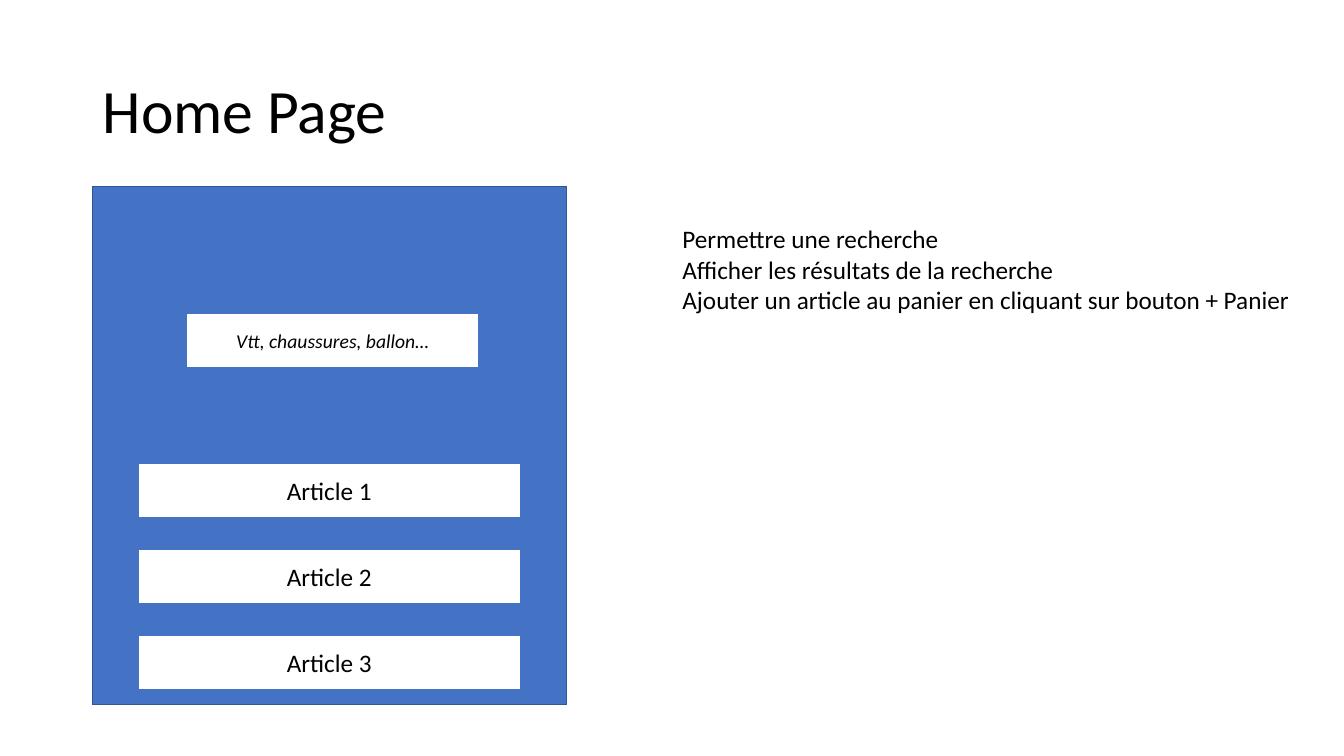
from pptx import Presentation
from pptx.dml.color import RGBColor
from pptx.enum.shapes import MSO_SHAPE
from pptx.enum.text import MSO_ANCHOR, PP_ALIGN
from pptx.util import Pt

PX = 9144
FONT = "Calibri"
COLORS = {
    "panel": "4472C4",
    "border": "325491",
    "field": "FFFFFF",
    "text": "000000",
}


def color(name):
    return RGBColor.from_string(COLORS[name])


def write(tf, text, size=18, italic=False, align=PP_ALIGN.LEFT,
          anchor=MSO_ANCHOR.TOP, spacing=1.0, wrap=True):
    tf.word_wrap = wrap
    tf.vertical_anchor = anchor
    for i, line in enumerate(text.split("\n")):
        p = tf.add_paragraph() if i else tf.paragraphs[0]
        p.alignment = align
        p.line_spacing = spacing
        r = p.add_run()
        r.text = line
        r.font.name = FONT
        r.font.size = Pt(size)
        r.font.italic = italic
        r.font.color.rgb = color("text")


class Page:
    def __init__(self, prs):
        self.s = prs.slides.add_slide(prs.slide_layouts[6])

    def rect(self, x, y, w, h, fill, line):
        sp = self.s.shapes.add_shape(
            MSO_SHAPE.RECTANGLE, x * PX, y * PX, w * PX, h * PX)
        sp.shadow.inherit = False
        sp.fill.solid()
        sp.fill.fore_color.rgb = color(fill)
        sp.line.color.rgb = color(line)
        sp.line.width = Pt(1)
        return sp

    def field(self, x, y, w, text, **fmt):
        sp = self.rect(x, y, w, 54, "field", "panel")
        write(sp.text_frame, text, align=PP_ALIGN.CENTER,
              anchor=MSO_ANCHOR.MIDDLE, **fmt)

    def text(self, x, y, w, h, text, **fmt):
        sp = self.s.shapes.add_textbox(x * PX, y * PX, w * PX, h * PX)
        write(sp.text_frame, text, **fmt)


def main():
    prs = Presentation()
    prs.slide_width, prs.slide_height = 1333 * PX, 750 * PX
    page = Page(prs)
    page.rect(92, 185, 470, 514, "panel", "border")
    page.field(185, 311, 290, "Vtt, chaussures, ballon…", size=14, italic=True)
    for i in range(3):
        page.field(137, 460 + 85 * i, 379, f"Article {i + 1}")
    page.text(92, 40, 1150, 145, "Home Page", size=44,
              anchor=MSO_ANCHOR.MIDDLE, spacing=0.9)
    page.text(667, 217, 630, 101,
              "Permettre une recherche\n"
              "Afficher les résultats de la recherche\n"
              "Ajouter un article au panier en cliquant sur bouton + Panier",
              wrap=False)
    prs.save("out.pptx")


if __name__ == "__main__":
    main()
